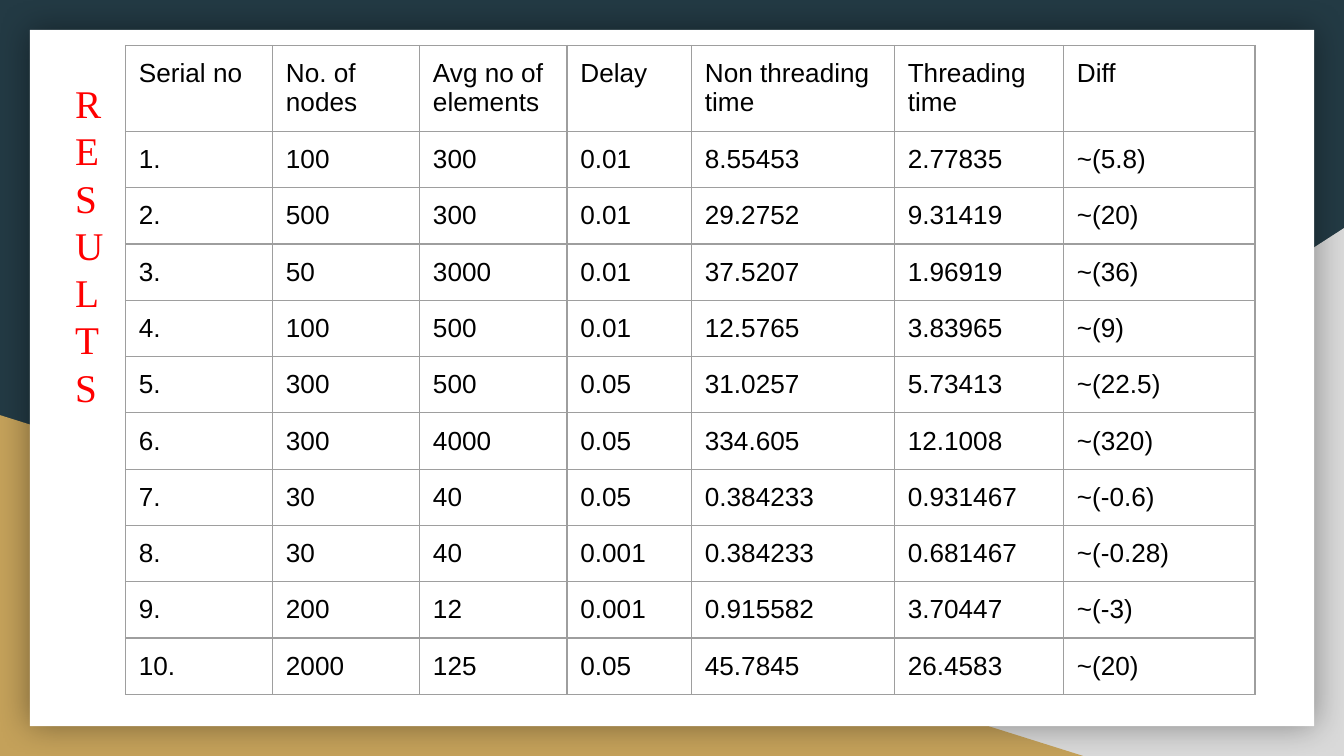
import pptx
import pptx.dml.color
import pptx.enum.shapes
import pptx.enum.text
import pptx.oxml
import pptx.oxml.ns
import pptx.util

Pt = pptx.util.Pt
RGBColor = pptx.dml.color.RGBColor
Shape = pptx.enum.shapes.MSO_SHAPE

NAVY = RGBColor(0x23, 0x3A, 0x44)
GREY = RGBColor(0xD9, 0xD9, 0xD9)
GOLD = RGBColor(0xC4, 0xA1, 0x5A)
WHITE = RGBColor(0xFF, 0xFF, 0xFF)
BLACK = RGBColor(0x00, 0x00, 0x00)
RED = RGBColor(0xFF, 0x00, 0x00)
BORDER = RGBColor(0x9E, 0x9E, 0x9E)

SLIDE_WIDTH, SLIDE_HEIGHT = 720, 405
INSET = 7.2
COLUMN_WIDTHS = [78.8, 78.8, 79, 66.7, 108.7, 90.6, 102.6]
HEADER_HEIGHT, ROW_HEIGHT = 46.1, 30.1

HEADERS = ["Serial no", "No. of nodes", "Avg no of elements", "Delay",
           "Non threading time", "Threading time", "Diff"]
RESULTS = [
    ["1.", "100", "300", "0.01", "8.55453", "2.77835", "~(5.8)"],
    ["2.", "500", "300", "0.01", "29.2752", "9.31419", "~(20)"],
    ["3.", "50", "3000", "0.01", "37.5207", "1.96919", "~(36)"],
    ["4.", "100", "500", "0.01", "12.5765", "3.83965", "~(9)"],
    ["5.", "300", "500", "0.05", "31.0257", "5.73413", "~(22.5)"],
    ["6.", "300", "4000", "0.05", "334.605", "12.1008", "~(320)"],
    ["7.", "30", "40", "0.05", "0.384233", "0.931467", "~(-0.6)"],
    ["8.", "30", "40", "0.001", "0.384233", "0.681467", "~(-0.28)"],
    ["9.", "200", "12", "0.001", "0.915582", "3.70447", "~(-3)"],
    ["10.", "2000", "125", "0.05", "45.7845", "26.4583", "~(20)"],
]


def add_filled_shape(slide, kind, color, left, top, width, height):
    shape = slide.shapes.add_shape(kind, Pt(left), Pt(top), Pt(width), Pt(height))
    shape.shadow.inherit = False
    shape.fill.solid()
    shape.fill.fore_color.rgb = color
    shape.line.fill.background()
    return shape


def set_insets(target):
    for side in ("left", "top", "right", "bottom"):
        setattr(target, f"margin_{side}", Pt(INSET))


def style_runs(paragraph, font_name, size, color):
    for run in paragraph.runs:
        run.font.name = font_name
        run.font.size = Pt(size)
        run.font.color.rgb = color


def add_backdrop(slide, left, top, width, height):
    slide.background.fill.solid()
    slide.background.fill.fore_color.rgb = NAVY

    # Corner triangles, aligned to the bottom of the box
    grey_width, grey_height, gold_height = 437.8, 282.8, 182.6
    grey_corner = add_filled_shape(slide, Shape.RIGHT_TRIANGLE, GREY,
                                   left + width - grey_width, top + height - grey_height,
                                   grey_width, grey_height)
    grey_corner.element.spPr.xfrm.set("flipH", "1")
    add_filled_shape(slide, Shape.RIGHT_TRIANGLE, GOLD,
                     left, top + height - gold_height, 580.3, gold_height)

    # White card with a soft shadow
    margin = 16
    card = add_filled_shape(slide, Shape.RECTANGLE, WHITE, left + margin, top + margin,
                            width - 2 * margin, height - 2 * margin)
    effects = card.element.spPr.find(pptx.oxml.ns.qn("a:effectLst"))
    effects.append(pptx.oxml.parse_xml(
        f'<a:outerShdw {pptx.oxml.ns.nsdecls("a")} blurRad="{Pt(18)}" dist="0" dir="0" '
        'algn="ctr" rotWithShape="0"><a:srgbClr val="000000"><a:alpha val="40000"/>'
        '</a:srgbClr></a:outerShdw>'))


def add_cell_borders(cell):
    properties = cell._tc.get_or_add_tcPr()
    for index, side in enumerate(("lnL", "lnR", "lnT", "lnB")):
        properties.insert(index, pptx.oxml.parse_xml(
            f'<a:{side} {pptx.oxml.ns.nsdecls("a")} w="{Pt(0.75)}"><a:solidFill>'
            f'<a:srgbClr val="{BORDER}"/></a:solidFill></a:{side}>'))


def add_results_table(slide, left, top, width, height):
    rows = [HEADERS] + RESULTS
    table = slide.shapes.add_table(len(rows), len(HEADERS), Pt(left), Pt(top),
                                   Pt(width), Pt(height)).table
    table.first_row = False
    table.horz_banding = False
    for column, column_width in zip(table.columns, COLUMN_WIDTHS):
        column.width = Pt(column_width)
    for row_index, values in enumerate(rows):
        table.rows[row_index].height = Pt(ROW_HEIGHT if row_index else HEADER_HEIGHT)
        for column_index, value in enumerate(values):
            cell = table.cell(row_index, column_index)
            cell.text_frame.text = value
            set_insets(cell)
            style_runs(cell.text_frame.paragraphs[0], "Arial", 14, BLACK)
            cell.fill.background()
            add_cell_borders(cell)


def add_vertical_title(slide, left, top, width, height):
    # The narrow box wraps the word to one letter per line
    text_box = slide.shapes.add_textbox(Pt(left), Pt(top), Pt(width), Pt(height))
    text_frame = text_box.text_frame
    text_frame.word_wrap = True
    text_frame.vertical_anchor = pptx.enum.text.MSO_ANCHOR.TOP
    set_insets(text_frame)
    text_frame.text = "RESUL\nTS"
    for paragraph in text_frame.paragraphs:
        paragraph.line_spacing = Pt(25.3)
        style_runs(paragraph, "Times New Roman", 21, RED)


def main():
    presentation = pptx.Presentation()
    presentation.slide_width = Pt(SLIDE_WIDTH)
    presentation.slide_height = Pt(SLIDE_HEIGHT)
    slide = presentation.slides.add_slide(presentation.slide_layouts[6])
    add_backdrop(slide, 0, 0, SLIDE_WIDTH, SLIDE_HEIGHT)
    add_results_table(slide, 67.2, 24.3, sum(COLUMN_WIDTHS),
                      HEADER_HEIGHT + ROW_HEIGHT * len(RESULTS))
    add_vertical_title(slide, 33.2, 35.3, 26.6, 290)
    presentation.save("out.pptx")


if __name__ == "__main__":
    main()
